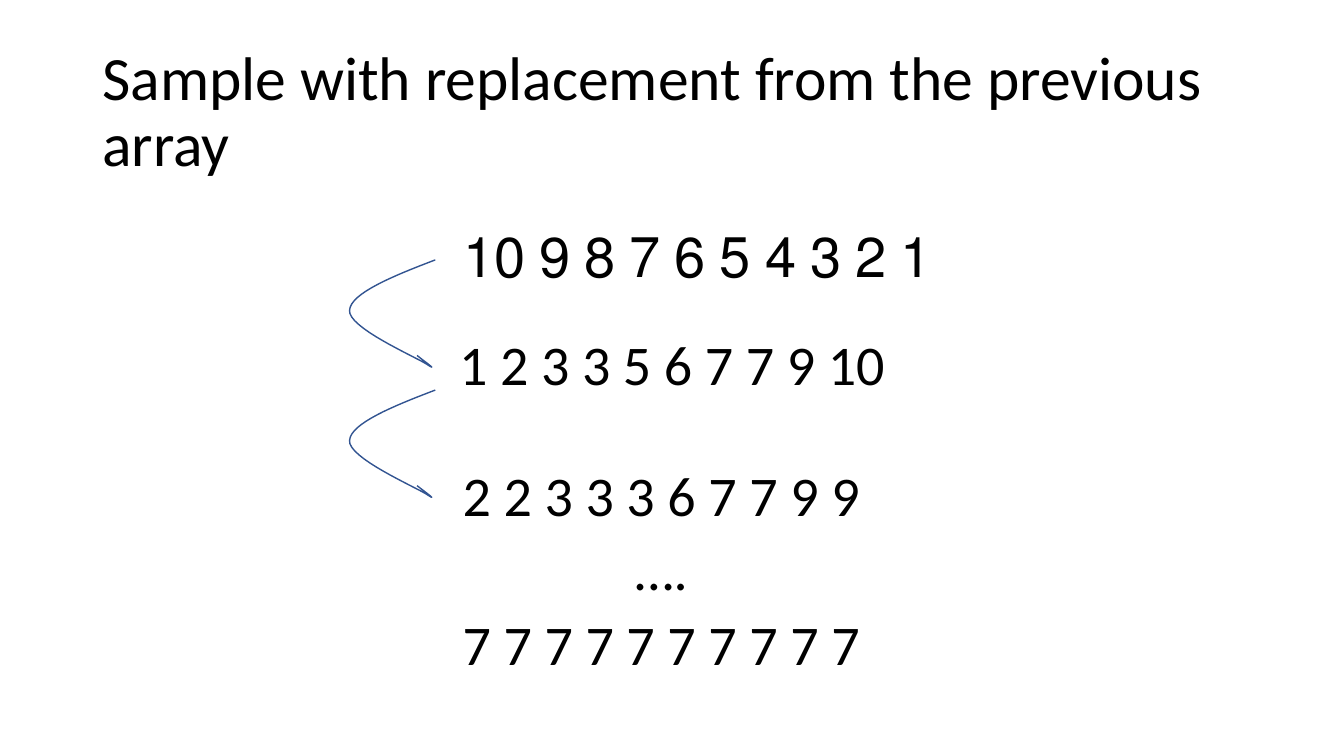
import dataclasses

import pptx
import pptx.dml.color
import pptx.enum.text
import pptx.util

Cm = pptx.util.Cm
Pt = pptx.util.Pt
Align = pptx.enum.text.PP_ALIGN
Anchor = pptx.enum.text.MSO_ANCHOR


@dataclasses.dataclass(frozen=True)
class Theme:
    font: str = "Calibri"
    ink: str = "000000"
    arrow: str = "325491"
    title_size: float = 44
    array_size: float = 40
    arrow_width: float = 1


THEME = Theme()

ARROW_START = (0, 0)
ARROW_CURVES = [
    [(-1.07, 0.41), (-2.13, 0.84), (-2.16, 1.27)],
    [(-2.21, 1.7), (-0.51, 2.44), (-0.23, 2.62)],
    [(0.08, 2.82), (-0.18, 2.62), (-0.46, 2.41)],
]
CURVE_STEPS = 16


def add_text(page, box, text, size=THEME.array_size, align=None,
             anchor=Anchor.TOP, line_spacing=None, space_before=0, rtl=False):
    frame = page.shapes.add_textbox(*(Cm(length) for length in box)).text_frame
    frame.word_wrap = True
    frame.vertical_anchor = anchor
    for index, line in enumerate(text.split("\n")):
        para = frame.paragraphs[0] if index == 0 else frame.add_paragraph()
        para.alignment = align
        para.line_spacing = line_spacing
        para.space_before = Pt(space_before)
        if rtl:
            para._p.get_or_add_pPr().set("rtl", "1")
        span = para.add_run()
        span.text = line
        span.font.name = THEME.font
        span.font.size = Pt(size)
        span.font.color.rgb = pptx.dml.color.RGBColor.from_string(THEME.ink)


def curve_points(start, curves):
    for first, second, end in curves:
        for step in range(1, CURVE_STEPS + 1):
            t = step / CURVE_STEPS
            weights = ((1 - t) ** 3, 3 * t * (1 - t) ** 2, 3 * t ** 2 * (1 - t), t ** 3)
            corners = (start, first, second, end)
            yield tuple(
                sum(weight * corner[axis] for weight, corner in zip(weights, corners))
                for axis in (0, 1)
            )
        start = end


def add_curved_arrow(page, left, top):
    def place(point):
        return Cm(left + point[0]), Cm(top + point[1])

    builder = page.shapes.build_freeform(*place(ARROW_START))
    points = [place(point) for point in curve_points(ARROW_START, ARROW_CURVES)]
    builder.add_line_segments(points, close=False)
    arrow = builder.convert_to_shape()
    arrow.shadow.inherit = False
    arrow.fill.background()
    arrow.line.color.rgb = pptx.dml.color.RGBColor.from_string(THEME.arrow)
    arrow.line.width = Pt(THEME.arrow_width)


def add_title(page, box):
    add_text(page, box, "Sample with replacement from the previous array",
             size=THEME.title_size, anchor=Anchor.MIDDLE, line_spacing=0.9)


def add_first_array(page, box):
    add_text(page, box, "1 2 3 4 5 6 7 8 9 10", rtl=True)


def add_samples(page, box, text):
    add_text(page, box, text, align=Align.CENTER, line_spacing=0.9, space_before=10)


def add_sampling_page(deck):
    page = deck.slides.add_slide(deck.slide_layouts[6])
    add_title(page, (2.33, 1.02, 29.21, 3.68))
    add_samples(page, (2.33, 8.38, 29.21, 12.09), "1 2 3 3 5 6 7 7 9 10")
    add_first_array(page, (11.43, 5.46, 23.95, 1.96))
    add_samples(page, (2.06, 11.66, 29.21, 12.09),
                "2 2 3 3 3 6 7 7 9 9\n….\n7 7 7 7 7 7 7 7 7 7")
    for top in (6.55, 9.83):
        add_curved_arrow(page, 10.97, top)


def main():
    deck = pptx.Presentation()
    deck.slide_width = Cm(33.87)
    deck.slide_height = Cm(19.05)
    add_sampling_page(deck)
    deck.save("out.pptx")


if __name__ == "__main__":
    main()
